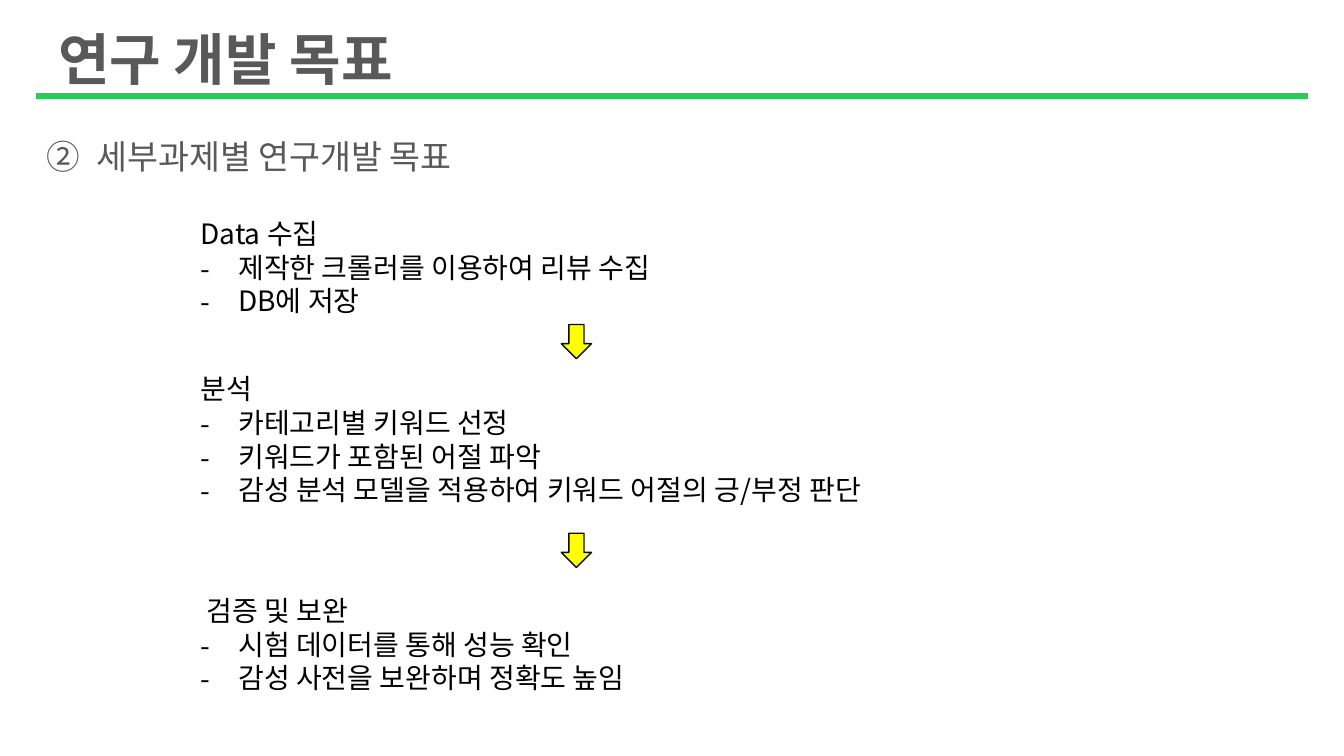
from lxml import etree
from pptx import Presentation
from pptx.dml.color import RGBColor
from pptx.enum.shapes import MSO_CONNECTOR, MSO_SHAPE
from pptx.enum.text import MSO_ANCHOR
from pptx.oxml.ns import qn
from pptx.util import Pt

STRAIGHT = MSO_CONNECTOR.STRAIGHT
DOWN_ARROW = MSO_SHAPE.DOWN_ARROW
TOP, MIDDLE = MSO_ANCHOR.TOP, MSO_ANCHOR.MIDDLE

FONT = "Noto Sans CJK KR"
COLORS = {
    "heading": "595959",
    "body": "000000",
    "rule": "25CF57",
    "arrow": "FFFF00",
    "arrow_line": "0D0D0D",
}

TITLE = "연구 개발 목표"
SUBTITLE = "세부과제별 연구개발 목표"
# Top of the stage, its heading, its bullet points
STAGES = [
    (151.2, "Data 수집", ["제작한 크롤러를 이용하여 리뷰 수집", "DB에 저장"]),
    (262.1, "분석", ["카테고리별 키워드 선정", "키워드가 포함된 어절 파악",
                   "감성 분석 모델을 적용하여 키워드 어절의 긍/부정 판단"]),
    (420.5, " 검증 및 보완", ["시험 데이터를 통해 성능 확인", "감성 사전을 보완하며 정확도 높임"]),
]
ARROW_TOPS = [231.8, 380.9]

PAGE_WIDTH, PAGE_HEIGHT = 960, 540
RULE_LEFT, RULE_RIGHT, RULE_TOP = 25.9, 934.6, 68.4
STAGE_LEFT, STAGE_WIDTH = 136.1, 684
LINE_HEIGHT, BOX_PADDING = 24.2, 7.2
ARROW_LEFT, ARROW_WIDTH, ARROW_HEIGHT = 401, 21.6, 24.5

DASH = ("buChar", {"char": "-"})
CIRCLED_TWO = ("buAutoNum", {"type": "circleNumDbPlain", "startAt": "2"})


def rgb(name):
    return RGBColor.from_string(COLORS[name])


def add_text(page, lines, left, top, width, height, size, color,
             bold=False, spacing=None, anchor=TOP):
    """Add a text box; each line is (text, bullet or None, hanging indent)."""
    box = page.shapes.add_textbox(Pt(left), Pt(top), Pt(width), Pt(height))
    frame = box.text_frame
    frame.word_wrap = True
    frame.vertical_anchor = anchor
    for index, (text, bullet, indent) in enumerate(lines):
        para = frame.add_paragraph() if index else frame.paragraphs[0]
        if spacing:
            para.line_spacing = spacing
        if bullet:
            tag, attributes = bullet
            properties = para._p.get_or_add_pPr()
            properties.set("marL", str(Pt(indent)))
            properties.set("indent", str(-Pt(indent)))
            etree.SubElement(properties, qn("a:buFont"), typeface=FONT)
            etree.SubElement(properties, qn("a:" + tag), attributes)
        span = para.add_run()
        span.text = text
        span.font.size = Pt(size)
        span.font.bold = bold
        span.font.color.rgb = rgb(color)
        span.font.name = FONT
        etree.SubElement(span._r.get_or_add_rPr(), qn("a:ea"), typeface=FONT)


def add_rule(page):
    rule = page.shapes.add_connector(
        STRAIGHT, Pt(RULE_LEFT), Pt(RULE_TOP), Pt(RULE_RIGHT), Pt(RULE_TOP))
    rule.line.color.rgb = rgb("rule")
    rule.line.width = Pt(4.5)
    etree.SubElement(rule._element.spPr, qn("a:effectLst"))


def add_stage(page, top, heading, points):
    lines = [(heading, None, 0)] + [(point, DASH, 27) for point in points]
    height = LINE_HEIGHT * len(lines) + BOX_PADDING
    add_text(page, lines, STAGE_LEFT, top, STAGE_WIDTH, height, 20, "body")


def add_arrow(page, top):
    arrow = page.shapes.add_shape(
        DOWN_ARROW, Pt(ARROW_LEFT), Pt(top), Pt(ARROW_WIDTH), Pt(ARROW_HEIGHT))
    arrow.shadow.inherit = False
    arrow.fill.solid()
    arrow.fill.fore_color.rgb = rgb("arrow")
    arrow.line.color.rgb = rgb("arrow_line")
    arrow.line.width = Pt(1)


def main():
    deck = Presentation()
    deck.slide_width, deck.slide_height = Pt(PAGE_WIDTH), Pt(PAGE_HEIGHT)
    page = deck.slides.add_slide(deck.slide_layouts[6])
    add_rule(page)
    add_text(page, [(TITLE, None, 0)], 34.6, 16.6, 269.3, 25.9, 40, "heading",
             bold=True, spacing=1.5, anchor=MIDDLE)
    add_text(page, [(SUBTITLE, CIRCLED_TWO, 36)], RULE_LEFT, 79.2, 396.7, 46.8,
             24, "heading", spacing=1.5)
    for stage in STAGES:
        add_stage(page, *stage)
    for top in ARROW_TOPS:
        add_arrow(page, top)
    deck.save("out.pptx")


if __name__ == "__main__":
    main()
